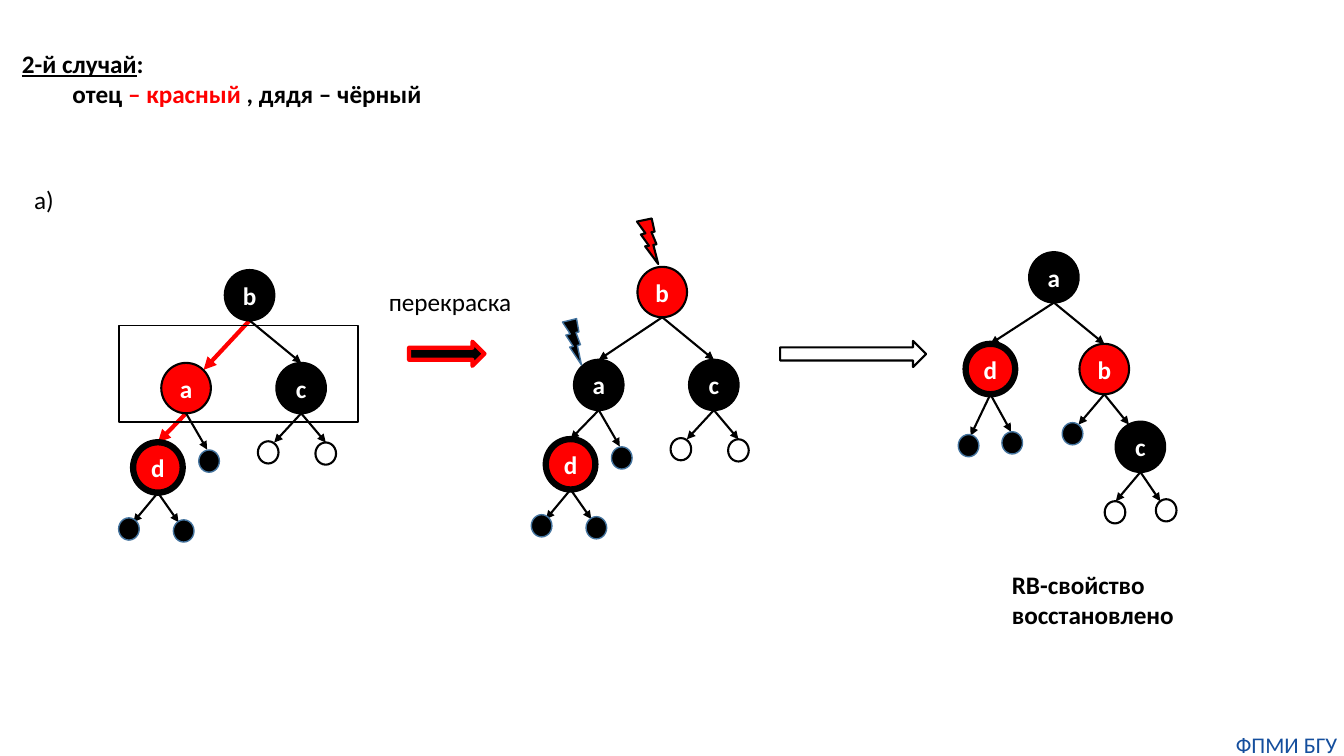
"""Builds the slide on red-black tree insertion, case 2a: red parent, black uncle."""
from dataclasses import dataclass

from lxml import etree
from pptx import Presentation
from pptx.dml.color import RGBColor
from pptx.enum.shapes import MSO_CONNECTOR, MSO_SHAPE
from pptx.enum.text import MSO_ANCHOR, MSO_AUTO_SIZE, PP_ALIGN
from pptx.oxml.ns import qn
from pptx.shapes.autoshape import Shape
from pptx.slide import Slide
from pptx.text.text import TextFrame
from pptx.util import Cm, Pt

ELLIPSE, RECT = MSO_SHAPE.OVAL, MSO_SHAPE.RECTANGLE
ARROW, BOLT = MSO_SHAPE.RIGHT_ARROW, MSO_SHAPE.LIGHTNING_BOLT
STRAIGHT = MSO_CONNECTOR.STRAIGHT
TOP, MIDDLE = MSO_ANCHOR.TOP, MSO_ANCHOR.MIDDLE
LEFT, CENTER = PP_ALIGN.LEFT, PP_ALIGN.CENTER
FIT, NO_FIT = MSO_AUTO_SIZE.SHAPE_TO_FIT_TEXT, MSO_AUTO_SIZE.NONE


@dataclass(frozen=True)
class Theme:
    font: str = "Calibri"
    body: float = 18
    footer: float = 16
    black: str = "000000"
    red: str = "FF0000"
    white: str = "FFFFFF"
    steel: str = "43739E"
    navy: str = "144E9D"


THEME = Theme()


@dataclass(frozen=True)
class Style:
    fill: str | None
    line: str
    weight: float
    width: float = 1.25
    height: float = 1.27


@dataclass(frozen=True)
class Span:
    text: str
    color: str = THEME.black
    bold: bool = False
    underline: bool = False
    size: float = THEME.body


@dataclass(frozen=True)
class Node:
    """A tree node, placed by its centre relative to the root's centre."""
    x: float
    y: float
    style: Style
    label: str = ""
    tip: tuple[float, float] | None = None
    red_edge: bool = False
    children: tuple["Node", ...] = ()


@dataclass(frozen=True)
class Figure:
    kind: MSO_SHAPE
    x: float
    y: float
    width: float
    height: float
    style: Style
    rotation: float = 0


@dataclass(frozen=True)
class Label:
    x: float
    y: float
    width: float
    height: float
    lines: tuple[Span, ...]


BLACK = Style(THEME.black, THEME.black, 1.5)
RED = Style(THEME.red, THEME.black, 1.5)
ADDED = Style(THEME.red, THEME.black, 4.5)
NIL = Style(THEME.black, THEME.steel, 1, 0.52, 0.56)
SUBTREE = Style(THEME.white, THEME.black, 1.5, 0.52, 0.56)
OUTLINE = Style(None, THEME.black, 1.5)
FRAME = Style(None, THEME.black, 1)
RECOLOUR = Style(THEME.black, THEME.red, 3)


def insertion_tree(root: Style, father: Style, father_tip: tuple[float, float] | None,
                   red_path: bool) -> Node:
    """Return the tree with the new node d, before or after recolouring."""
    added = Node(-2.31, 4.34, ADDED, "d", red_edge=red_path, children=(
        Node(-3.04, 5.89, NIL, tip=(-2.93, 5.72)),
        Node(-1.66, 5.94, NIL, tip=(-1.79, 5.72))))
    a = Node(-1.6, 2.34, father, "a", father_tip, red_path,
             (added, Node(-1.02, 4.18, NIL, tip=(-1.07, 3.89))))
    c = Node(1.3, 2.34, BLACK, "c", children=(
        Node(0.47, 3.96, SUBTREE, tip=(0.62, 3.71)),
        Node(1.92, 3.99, SUBTREE, tip=(1.92, 3.71))))
    return Node(0, 0, root, "b", children=(a, c))


ROTATED = Node(0, 0, BLACK, "a", children=(
    Node(-1.6, 2.31, ADDED, "d", children=(
        Node(-2.15, 4.24, NIL, tip=(-2.1, 3.99)),
        Node(-1.05, 4.17, NIL, tip=(-1.08, 3.89)))),
    Node(1.27, 2.31, RED, "b", children=(
        Node(0.47, 3.94, NIL, tip=(0.62, 3.71)),
        Node(2.18, 4.27, BLACK, "c", (1.89, 3.71), children=(
            Node(1.54, 5.92, SUBTREE, tip=(1.56, 5.64)),
            Node(2.83, 5.87, SUBTREE, tip=(2.68, 5.64))))))))

TREES = (
    (6.29, 7.44, insertion_tree(BLACK, RED, (-1.16, 1.88), True)),
    (16.69, 7.36, insertion_tree(RED, BLACK, None, False)),
    (26.56, 6.99, ROTATED),
)
FIGURES = (
    Figure(ARROW, 10.31, 8.61, 1.9, 0.61, RECOLOUR),
    Figure(ARROW, 19.66, 8.59, 3.68, 0.66, OUTLINE),
    Figure(BOLT, 15.93, 5.51, 0.84, 1.04, RED, 18),
    Figure(BOLT, 14.05, 8.03, 0.79, 1.07, NIL, 18),
    Figure(RECT, 3, 8.2, 6.02, 2.44, FRAME),
)
LABELS = (
    Label(9.55, 7.09, 3.63, 1.02, (Span("перекраска"),)),
    Label(0.61, 4.52, 1.02, 1.02, (Span("a)"),)),
    Label(25.25, 14.22, 4.62, 1.8,
          (Span("RB-свойство", bold=True), Span("восстановлено", bold=True))),
)
TITLE = (
    (Span("2-й случай", bold=True, underline=True), Span(":", bold=True)),
    (Span("отец", bold=True), Span(" – красный ", THEME.red, True),
     Span(", дядя – чёрный", bold=True)),
)


def write(tf: TextFrame, lines: tuple[tuple[Span, ...], ...], align: PP_ALIGN = LEFT) -> None:
    for i, spans in enumerate(lines):
        p = tf.add_paragraph() if i else tf.paragraphs[0]
        p.alignment = align
        for span in spans:
            r = p.add_run()
            r.text = span.text
            r.font.name, r.font.size = THEME.font, Pt(span.size)
            r.font.bold, r.font.underline = span.bold, span.underline
            r.font.color.rgb = RGBColor.from_string(span.color)


def add_figure(s: Slide, figure: Figure) -> Shape:
    sp = s.shapes.add_shape(figure.kind, Cm(figure.x), Cm(figure.y),
                            Cm(figure.width), Cm(figure.height))
    sp.shadow.inherit = False
    sp.rotation = figure.rotation
    if figure.style.fill:
        sp.fill.solid()
        sp.fill.fore_color.rgb = RGBColor.from_string(figure.style.fill)
    else:
        sp.fill.background()
    sp.line.color.rgb = RGBColor.from_string(figure.style.line)
    sp.line.width = Pt(figure.style.weight)
    return sp


def add_edge(s: Slide, start: tuple[float, float], end: tuple[float, float], red: bool) -> None:
    edge = s.shapes.add_connector(STRAIGHT, *map(Cm, start + end))
    edge.line.color.rgb = RGBColor.from_string(THEME.red if red else THEME.black)
    edge.line.width = Pt(3 if red else 1.5)
    etree.SubElement(edge.line._get_or_add_ln(), qn("a:tailEnd"), type="triangle")
    etree.SubElement(edge._element.spPr, qn("a:effectLst"))


def add_tree(s: Slide, x: float, y: float, node: Node) -> None:
    style = node.style
    for child in node.children:
        tip = child.tip or (child.x, child.y - child.style.height / 2)
        add_edge(s, (x + node.x, y + node.y + style.height / 2),
                 (x + tip[0], y + tip[1]), child.red_edge)
        add_tree(s, x, y, child)
    sp = add_figure(s, Figure(ELLIPSE, x + node.x - style.width / 2,
                              y + node.y - style.height / 2, style.width, style.height, style))
    if node.label:
        tf = sp.text_frame
        tf.word_wrap, tf.vertical_anchor = False, MIDDLE
        write(tf, ((Span(node.label, THEME.white, True),),), CENTER)


def add_label(s: Slide, label: Label) -> None:
    tf = s.shapes.add_textbox(Cm(label.x), Cm(label.y), Cm(label.width), Cm(label.height)).text_frame
    tf.word_wrap, tf.auto_size = False, FIT
    write(tf, tuple((line,) for line in label.lines))


def add_title(s: Slide) -> None:
    sp = s.shapes.title
    sp.left, sp.top, sp.width, sp.height = Cm(0.3), Cm(1.09), Cm(10.69), Cm(1.8)
    tf = sp.text_frame
    tf.word_wrap, tf.auto_size, tf.vertical_anchor = True, NO_FIT, TOP
    write(tf, TITLE)
    tf.paragraphs[1]._p.get_or_add_pPr().set("marL", str(Cm(1.27)))


def add_footer(s: Slide) -> None:
    tf = s.shapes.add_textbox(Cm(30.99), Cm(18.42), Cm(2.87), Cm(0.69)).text_frame
    tf.word_wrap, tf.auto_size = True, FIT
    tf.margin_left = tf.margin_top = tf.margin_right = tf.margin_bottom = 0
    write(tf, ((Span("ФПМИ БГУ", THEME.navy, size=THEME.footer),),), CENTER)


def main() -> None:
    prs = Presentation()
    prs.slide_width, prs.slide_height = Cm(33.87), Cm(19.05)
    s = prs.slides.add_slide(prs.slide_layouts[5])
    add_title(s)
    add_footer(s)
    for x, y, root in TREES:
        add_tree(s, x, y, root)
    for figure in FIGURES:
        add_figure(s, figure)
    for label in LABELS:
        add_label(s, label)
    prs.save("out.pptx")


if __name__ == "__main__":
    main()
